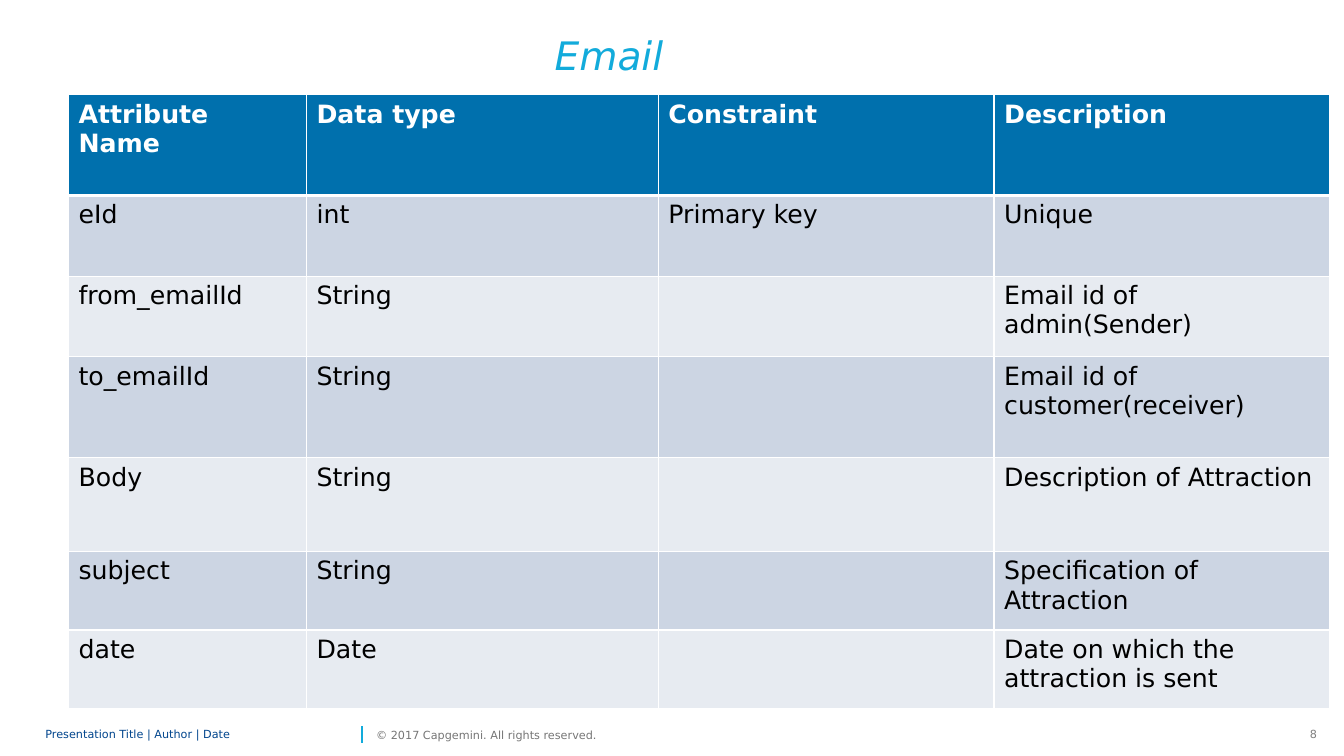
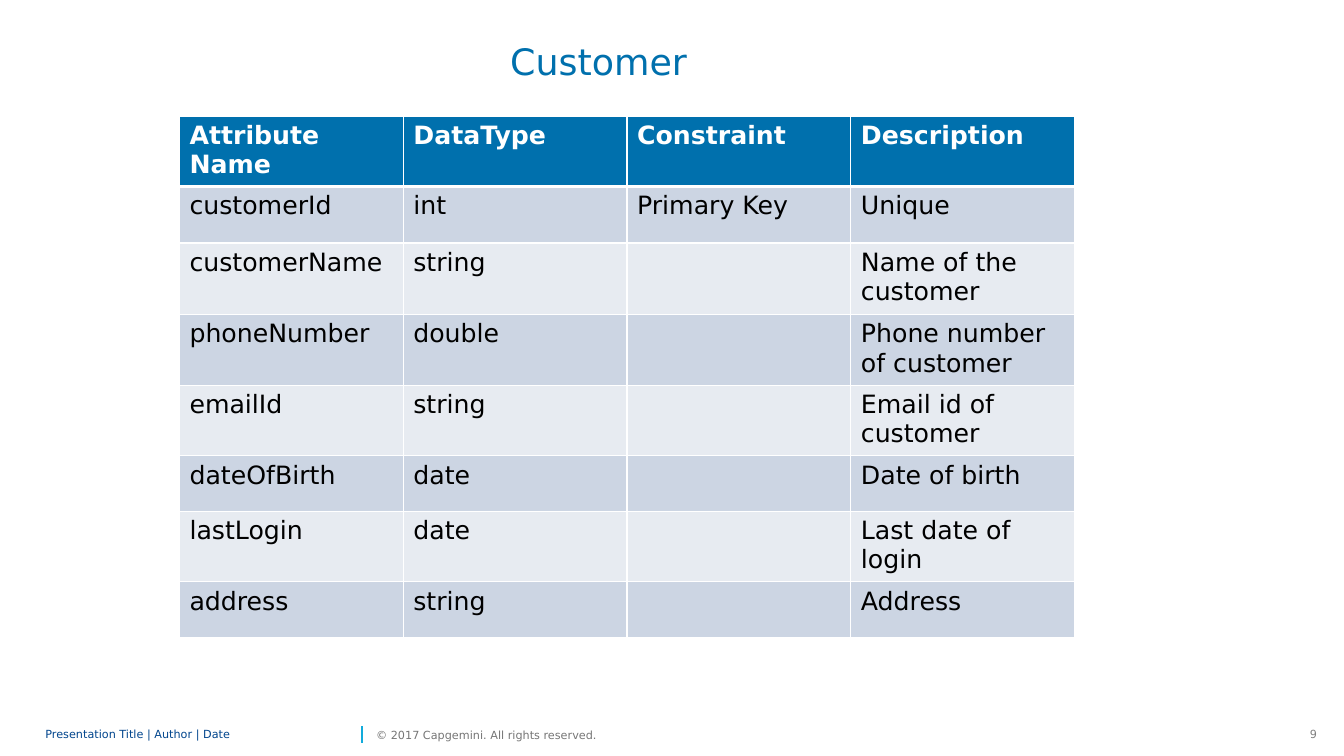
import pptx
import pptx.dml.color
import pptx.enum.shapes
import pptx.enum.text
import pptx.oxml.ns
import pptx.util
from lxml import etree

PX = 9144
FONT = "DejaVu Sans"
COLORS = {
    "white": "FFFFFF", "black": "000000", "header": "0070AD", "cyan": "12ABDB",
    "navy": "00458D", "number": "808080", "copyright": "767676",
    "odd": "CCD5E3", "even": "E7EBF1",
}
ALIGN = pptx.enum.text.PP_ALIGN
ANCHOR = pptx.enum.text.MSO_ANCHOR
AUTO_SIZE = pptx.enum.text.MSO_AUTO_SIZE

FLAT = {"margin_left": 0, "margin_right": 0, "margin_top": 0, "margin_bottom": 0, "word_wrap": True}
MIDDLE = {**FLAT, "vertical_anchor": ANCHOR.MIDDLE}

FOOTERS = [
    {"text": "Presentation Title | Author | Date", "box": (45, 717, 309, 24), "size": 8,
     "color": "navy", "frame": MIDDLE, "paragraph": {"line_spacing": 0.85}},
    {"text": "© 2017 Capgemini. All rights reserved.", "box": (373, 717, 243, 24), "size": 8,
     "color": "copyright", "frame": {**MIDDLE, "word_wrap": False}},
]
NUMBER = {"box": (1289, 717, 27, 24), "size": 8, "color": "number",
          "frame": {"word_wrap": False, "auto_size": AUTO_SIZE.SHAPE_TO_FIT_TEXT},
          "paragraph": {"alignment": ALIGN.RIGHT}}
DIVIDER = (359, 737, 359, 720)

SLIDES = [
    {
        "number": "8",
        "title": {"text": "Email", "box": (301, 47, 606, 48), "size": 28, "color": "cyan",
                  "frame": FLAT, "font": {"italic": True},
                  "paragraph": {"alignment": ALIGN.CENTER, "line_spacing": pptx.util.Pt(22),
                                "space_after": pptx.util.Pt(6)}},
        "origin": (68, 94),
        "columns": [236, 349, 333, 333],
        "heights": [100, 80, 80, 100, 93, 78, 78],
        "rows": [
            ("Attribute Name", "Data type", "Constraint", "Description"),
            ("eId", "int", "Primary key", "Unique"),
            ("from_emailId", "String", "", "Email id of admin(Sender)"),
            ("to_emailId", "String", "", "Email id of customer(receiver)"),
            ("Body", "String", "", "Description of Attraction"),
            ("subject", "String", "", "Specification of Attraction"),
            ("date", "Date", "", "Date on which the attraction is sent"),
        ],
    },
    {
        "number": "9",
        "title": {"text": "Customer", "box": (506, 44, 496, 95), "size": 26, "color": "header",
                  "frame": FLAT, "paragraph": {"line_spacing": 0.9}},
        "origin": (178, 115),
        "columns": [222] * 4,
        "heights": [41, 56, 71, 63, 63, 55, 63, 55],
        "rows": [
            ("Attribute Name", "DataType", "Constraint", "Description"),
            ("customerId", "int", "Primary Key", "Unique"),
            ("customerName", "string", "", "Name of the customer"),
            ("phoneNumber", "double", "", "Phone number of customer"),
            ("emailId", "string", "", "Email id of customer"),
            ("dateOfBirth", "date", "", "Date of birth"),
            ("lastLogin", "date", "", "Last date of login"),
            ("address", "string", "", "Address"),
        ],
    },
]


def px(*lengths):
    return [pptx.util.Emu(length * PX) for length in lengths]


def rgb(name):
    return pptx.dml.color.RGBColor.from_string(COLORS[name])


def apply(target, values):
    for name, value in values.items():
        setattr(target, name, value)


def style_font(font, size, color, values):
    apply(font, {"name": FONT, "size": pptx.util.Pt(size), **values})
    font.color.rgb = rgb(color)


def add_text(slide, item):
    frame = slide.shapes.add_textbox(*px(*item["box"])).text_frame
    apply(frame, item["frame"])
    paragraph = frame.paragraphs[0]
    apply(paragraph, item.get("paragraph", {}))
    run = paragraph.add_run()
    run.text = item["text"]
    style_font(run.font, item["size"], item["color"], item.get("font", {}))


def add_footer(slide, number):
    add_text(slide, {**NUMBER, "text": number})
    divider = slide.shapes.add_connector(pptx.enum.shapes.MSO_CONNECTOR.STRAIGHT, *px(*DIVIDER))
    divider.line.color.rgb = rgb("cyan")
    divider.line.width = pptx.util.Pt(1)
    etree.SubElement(divider.element.spPr, pptx.oxml.ns.qn("a:effectLst"))
    for footer in FOOTERS:
        add_text(slide, footer)


def set_borders(cell, widths):
    qn = pptx.oxml.ns.qn
    properties = cell._tc.get_or_add_tcPr()
    for side, width in widths.items():
        line = etree.SubElement(properties, qn("a:ln" + side), w=str(pptx.util.Pt(width)))
        fill = etree.SubElement(line, qn("a:solidFill"))
        etree.SubElement(fill, qn("a:srgbClr"), val=COLORS["white"])


def add_grid(slide, content):
    rows, columns, heights = content["rows"], content["columns"], content["heights"]
    table = slide.shapes.add_table(
        len(rows), len(columns), *px(*content["origin"], sum(columns), sum(heights))).table
    for column, width in zip(table.columns, px(*columns)):
        column.width = width
    for row, height in zip(table.rows, px(*heights)):
        row.height = height
    for index, texts in enumerate(rows):
        header = index == 0
        shade = "header" if header else ("even", "odd")[index % 2]
        for position, text in enumerate(texts):
            cell = table.cell(index, position)
            set_borders(cell, {"L": 1, "R": 1, "T": 3 if index == 1 else 1, "B": 3 if header else 1})
            cell.fill.solid()
            cell.fill.fore_color.rgb = rgb(shade)
            if text:
                run = cell.text_frame.paragraphs[0].add_run()
                run.text = text
                style_font(run.font, 18, "white" if header else "black", {"bold": header})


def main():
    presentation = pptx.Presentation()
    presentation.slide_width, presentation.slide_height = px(1333, 750)
    for content in SLIDES:
        slide = presentation.slides.add_slide(presentation.slide_layouts[6])
        add_footer(slide, content["number"])
        add_text(slide, content["title"])
        add_grid(slide, content)
    presentation.save("out.pptx")


if __name__ == "__main__":
    main()
